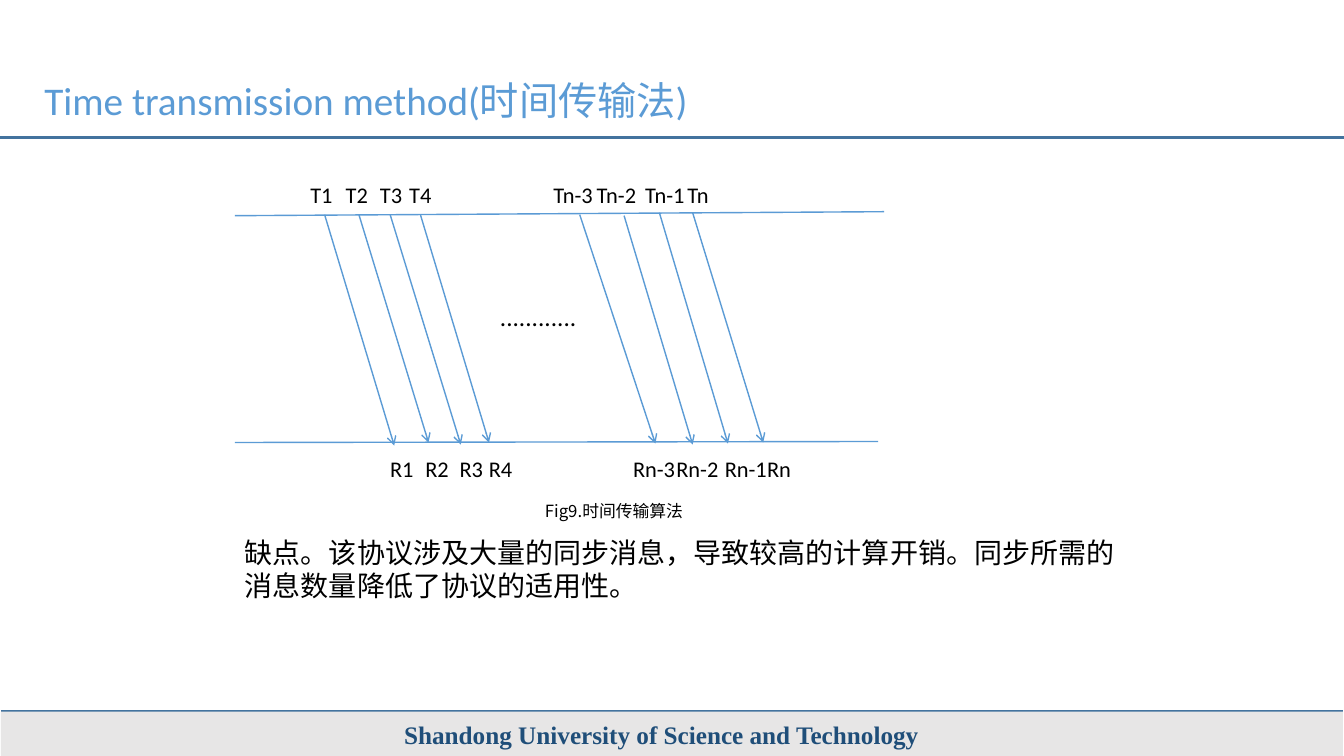
from lxml import etree
from pptx import Presentation
from pptx import util as u
from pptx.dml.color import RGBColor
from pptx.enum import shapes, text
from pptx.oxml.ns import qn

RULE_BLUE, LINE_BLUE, BLACK = "43739E", "5B9BD5", "000000"

deck = Presentation()
deck.slide_width, deck.slide_height = u.Inches(13.33), u.Inches(7.5)
page = deck.slides.add_slide(deck.slide_layouts[5])


def add_line(start, end, color, width, arrow=False):
    line = page.shapes.add_connector(
        shapes.MSO_CONNECTOR.STRAIGHT, *[u.Inches(v) for v in (*start, *end)])
    line.line.color.rgb = RGBColor.from_string(color)
    line.line.width = u.Pt(width)
    if arrow:
        etree.SubElement(line.line._get_or_add_ln(), qn("a:tailEnd"), type="arrow")
    etree.SubElement(line._element.spPr, qn("a:effectLst"))


def write(words, place, size, color=BLACK, font="Calibri", box=None, wrap=True):
    box = box or page.shapes.add_textbox(0, 0, 0, 0)
    box.left, box.top, box.width, box.height = [u.Inches(v) for v in place]
    frame = box.text_frame
    frame.text = words
    frame.word_wrap = wrap
    frame.auto_size = text.MSO_AUTO_SIZE.NONE
    para = frame.paragraphs[0]
    para.alignment = text.PP_ALIGN.LEFT
    para.font.size = u.Pt(size)
    para.font.name = font
    para.font.color.rgb = RGBColor.from_string(color)
    return para


# Header and footer
add_line((-0.01, 1.36), (13.34, 1.36), RULE_BLUE, 2.25)
add_line((0.01, 7.06), (13.32, 7.06), RULE_BLUE, 2.25)
footer = page.shapes.add_shape(
    shapes.MSO_SHAPE.RECTANGLE, *[u.Inches(v) for v in (0.01, 7.06, 13.31, 0.44)])
footer.shadow.inherit = False
footer.fill.solid()
footer.fill.fore_color.rgb = RGBColor.from_string("E7E6E6")
footer.line.fill.background()
school = write("Shandong University of Science and Technology",
               (3.91, 7.09, 5.3, 0.4), 18, "1F4E79", "Times New Roman", wrap=False)
school.font.bold = True
write("Time transmission method(时间传输法)", (0.34, 0.71, 9.22, 0.57), 28,
      LINE_BLUE, box=page.shapes.title)

# Sender and receiver time lines
add_line((2.33, 2.14), (8.77, 2.1), LINE_BLUE, 1)
add_line((2.33, 4.39), (8.71, 4.38), LINE_BLUE, 1)

# Messages: index, label left, label width, arrow start, arrow end
messages = [
    ("1", 2.98, 0.58, (3.22, 2.13), (3.91, 4.42)),
    ("2", 3.33, 0.58, (3.56, 2.13), (4.25, 4.39)),
    ("3", 3.67, 0.58, (3.87, 2.13), (4.57, 4.41)),
    ("4", 3.96, 0.52, (4.17, 2.13), (4.85, 4.39)),
    ("n-3", 5.39, 0.72, (5.75, 2.13), (6.5, 4.4)),
    ("n-2", 5.82, 0.72, (6.19, 2.14), (6.87, 4.41)),
    ("n-1", 6.3, 0.72, (6.54, 2.11), (7.22, 4.4)),
    ("n", 6.72, 0.72, (6.87, 2.11), (7.57, 4.39)),
]
for index, left, width, sent, received in messages:
    add_line(sent, received, LINE_BLUE, 1, arrow=True)
    write("T" + index, (left, 1.75, width, 0.36), 16)
    write("R" + index, (left + 0.79, 4.47, width, 0.36), 16)
write("............", (4.86, 2.94, 2.01, 0.4), 18)

# Caption and drawback
caption = write("Fig9.时间传输算法", (3.87, 4.92, 4.44, 0.3), 12, font="Noto Sans CJK SC")
caption.alignment = text.PP_ALIGN.CENTER
write("缺点。该协议涉及大量的同步消息，导致较高的计算开销。"
      "同步所需的消息数量降低了协议的适用性。", (2.33, 5.26, 8.92, 0.77), 20)

deck.save("out.pptx")
